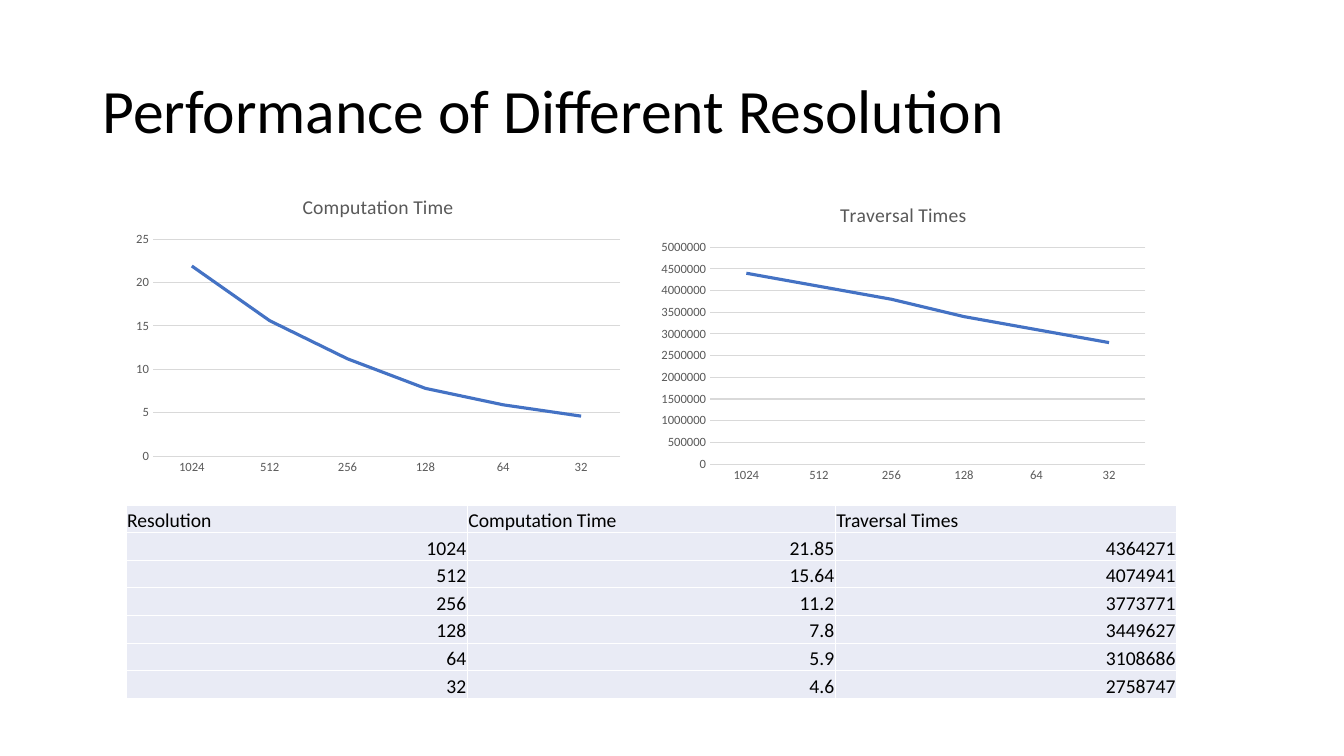
from lxml import etree
from pptx import Presentation
from pptx.chart.data import CategoryChartData
from pptx.dml.color import RGBColor
from pptx.enum.chart import XL_CHART_TYPE, XL_MARKER_STYLE, XL_TICK_MARK
from pptx.enum.text import MSO_ANCHOR, PP_ALIGN
from pptx.oxml.ns import qn
from pptx.util import Inches, Pt

LINE_CHART = XL_CHART_TYPE.LINE
NO_MARKER = XL_MARKER_STYLE.NONE
NO_TICK = XL_TICK_MARK.NONE
MIDDLE, BOTTOM = MSO_ANCHOR.MIDDLE, MSO_ANCHOR.BOTTOM
LEFT, RIGHT = PP_ALIGN.LEFT, PP_ALIGN.RIGHT

FONT = "Calibri"
BLACK, WHITE, GREY = "000000", "FFFFFF", "595959"
GRID, BLUE, CELL = "D9D9D9", "4472C4", "E9EBF5"

HEADINGS = ("Resolution", "Computation Time", "Traversal Times")
RESULTS = (
    (1024, 21.85, 4364271),
    (512, 15.64, 4074941),
    (256, 11.2, 3773771),
    (128, 7.8, 3449627),
    (64, 5.9, 3108686),
    (32, 4.6, 2758747),
)


def color(hex_string):
    return RGBColor.from_string(hex_string)


def style_font(font, size, hex_string):
    font.name = FONT
    font.size = Pt(size)
    font.bold = False
    font.color.rgb = color(hex_string)


def style_line(line, hex_string, width):
    line.color.rgb = color(hex_string)
    line.width = Pt(width)


def add_run(paragraph, text, size, hex_string):
    run = paragraph.add_run()
    run.text = text
    style_font(run.font, size, hex_string)


def add_heading(slide, box, text):
    frame = slide.shapes.add_textbox(*map(Inches, box)).text_frame
    frame.word_wrap = True
    frame.vertical_anchor = MIDDLE
    paragraph = frame.paragraphs[0]
    paragraph.line_spacing = 0.9
    add_run(paragraph, text, 44, BLACK)


def add_trend(slide, box, column, digits):
    data = CategoryChartData()
    data.categories = [str(result[0]) for result in RESULTS]
    data.add_series(HEADINGS[column],
                    [round(result[column], digits) for result in RESULTS])
    chart = slide.shapes.add_chart(LINE_CHART, *map(Inches, box), data).chart
    style_font(chart.font, 10, BLACK)
    chart.has_legend = False
    chart.has_title = True
    caption = chart.chart_title.text_frame.paragraphs[0]
    add_run(caption, HEADINGS[column], 14, GREY)

    for axis in (chart.category_axis, chart.value_axis):
        axis.major_tick_mark = axis.minor_tick_mark = NO_TICK
        style_font(axis.tick_labels.font, 9, GREY)
    style_line(chart.category_axis.format.line, GRID, 0.75)
    chart.value_axis.format.line.fill.background()
    chart.value_axis.has_major_gridlines = True
    style_line(chart.value_axis.major_gridlines.format.line, GRID, 0.75)

    plot = chart.plots[0]
    plot.vary_by_categories = False
    trend = plot.series[0]
    trend.smooth = False
    trend.marker.style = NO_MARKER
    style_line(trend.format.line, BLUE, 2.25)


def add_borders(cell, hex_string, width):
    properties = cell._tc.get_or_add_tcPr()
    for side in ("a:lnL", "a:lnR", "a:lnT", "a:lnB"):
        border = etree.SubElement(properties, qn(side), w=str(Pt(width)))
        fill = etree.SubElement(border, qn("a:solidFill"))
        etree.SubElement(fill, qn("a:srgbClr"), val=hex_string)


def fill_cell(cell, text, alignment):
    cell.margin_left = cell.margin_right = cell.margin_top = Inches(0.01)
    cell.margin_bottom = 0
    cell.vertical_anchor = BOTTOM
    add_borders(cell, WHITE, 1)
    cell.fill.solid()
    cell.fill.fore_color.rgb = color(CELL)
    paragraph = cell.text_frame.paragraphs[0]
    paragraph.alignment = alignment
    add_run(paragraph, text, 14, BLACK)


def add_results(slide, box, middle_width):
    rows = (HEADINGS,) + RESULTS
    left, top, width, height = map(Inches, box)
    table = slide.shapes.add_table(
        len(rows), len(HEADINGS), left, top, width, height).table
    table.first_row = table.horz_banding = False
    middle = Inches(middle_width)
    side = (width - middle) // 2
    for column, column_width in zip(table.columns, (side, middle, side)):
        column.width = column_width
    for r, row in enumerate(rows):
        table.rows[r].height = height // len(rows)
        for c, value in enumerate(row):
            fill_cell(table.cell(r, c), str(value), RIGHT if r else LEFT)


def build_performance(presentation):
    slide = presentation.slides.add_slide(presentation.slide_layouts[6])
    add_heading(slide, (0.92, 0.4, 11.5, 1.45),
                "Performance of Different Resolution")
    add_results(slide, (1.25, 5.01, 10.42, 1.92), 3.65)
    add_trend(slide, (1.25, 1.77, 5, 3), 1, 1)
    add_trend(slide, (6.46, 1.85, 5, 3), 2, -5)


presentation = Presentation()
presentation.slide_width = Inches(13.33)
presentation.slide_height = Inches(7.5)
build_performance(presentation)
presentation.save("out.pptx")
